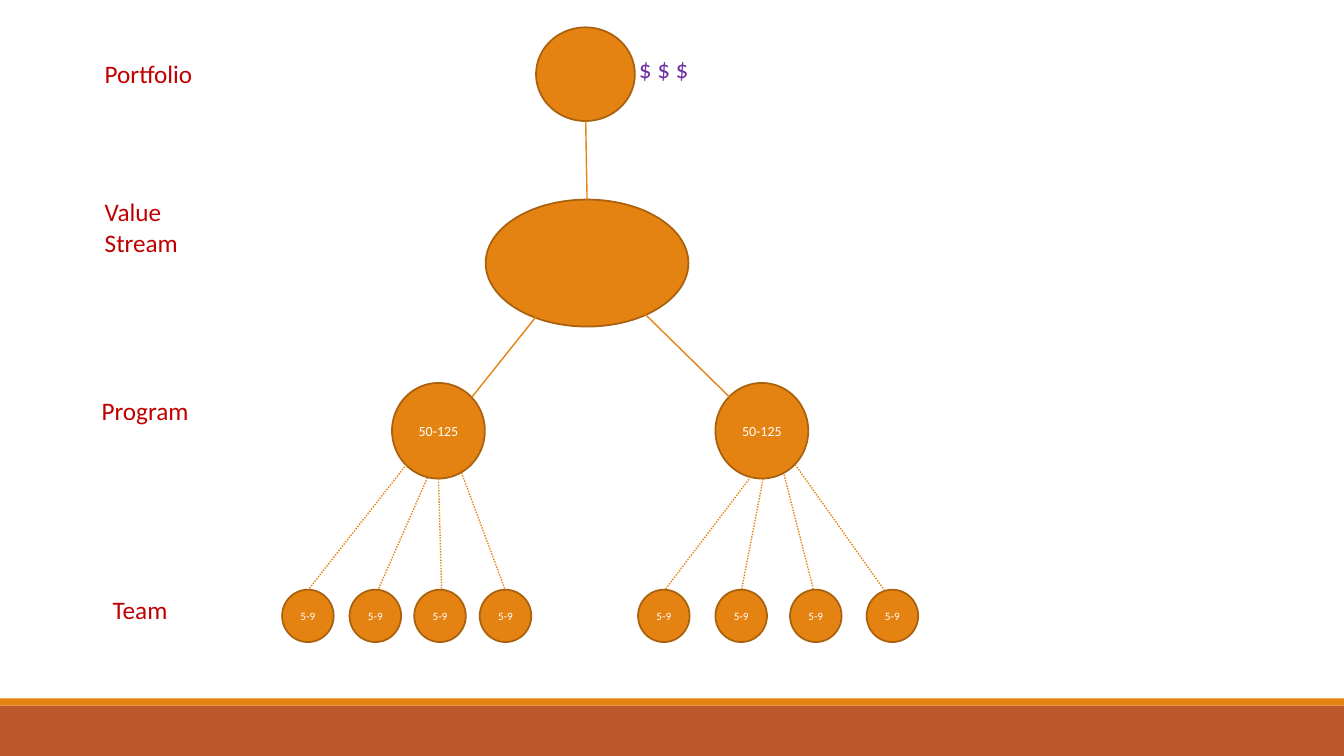
"""Build a slide with an organisation tree from portfolio down to teams."""
from dataclasses import dataclass

from lxml.etree import SubElement
from pptx import Presentation
from pptx.dml.color import RGBColor
from pptx.enum.dml import MSO_LINE
from pptx.enum.shapes import MSO_CONNECTOR, MSO_SHAPE
from pptx.enum.text import MSO_ANCHOR, MSO_AUTO_SIZE, PP_ALIGN
from pptx.oxml.ns import qn
from pptx.util import Cm, Pt


@dataclass(frozen=True)
class Theme:
    font: str = "Calibri"
    orange: str = "E48312"
    rust: str = "BD582C"
    outline: str = "A9610D"
    label: str = "C00000"
    money: str = "7030A0"
    white: str = "FFFFFF"
    label_size: int = 18
    program_size: int = 10
    team_size: int = 8


THEME = Theme()
PAGE_WIDTH, PAGE_HEIGHT = 33.87, 19.05
LABEL_HEIGHT = 1.02
PROGRAM_TOP, TEAM_TOP = 9.65, 14.86
LABELS = [
    ("Portfolio", 2.39, 1.35, 3.66, LABEL_HEIGHT),
    ("Value Stream", 2.39, 4.83, 2.9, 1.8),
    ("Program", 2.31, 9.83, 3.02, LABEL_HEIGHT),
    ("Team", 2.59, 14.86, 2.46, LABEL_HEIGHT),
]
# Each program: left edge, line from the value stream, then for each team
# its left edge, the start of its line and the x where that line ends.
PROGRAMS = [
    (9.88, (13.51, 7.98), (11.89, 10.01), [
        (7.11, (10.24, 11.71), 7.77),
        (8.81, (10.77, 12.04), 9.53),
        (10.44, (11.05, 12.07), 11.13),
        (12.09, (11.63, 11.91), 12.73),
    ]),
    (18.03, (16.26, 7.92), (18.39, 10.01), [
        (16.08, (19.0, 11.91), 16.76),
        (18.03, (19.23, 12.07), 18.69),
        (19.91, (19.76, 11.96), 20.5),
        (21.84, (20.04, 11.71), 22.28),
    ]),
]


def add_span(para, text, size, color):
    """Add one formatted run to a paragraph."""
    span = para.add_run()
    span.text = text
    span.font.name = THEME.font
    span.font.size = Pt(size)
    span.font.color.rgb = RGBColor.from_string(color)


def add_label(page, text, left, top, width, height, color):
    """Add a wrapped text label."""
    box = page.shapes.add_textbox(Cm(left), Cm(top), Cm(width), Cm(height))
    box.text_frame.word_wrap = True
    box.text_frame.auto_size = MSO_AUTO_SIZE.SHAPE_TO_FIT_TEXT
    add_span(box.text_frame.paragraphs[0], text, THEME.label_size, color)


def add_filled(page, kind, left, top, width, height, color):
    """Add a filled shape without outline or shadow."""
    shape = page.shapes.add_shape(kind, Cm(left), Cm(top), Cm(width), Cm(height))
    shape.shadow.inherit = False
    shape.fill.solid()
    shape.fill.fore_color.rgb = RGBColor.from_string(color)
    shape.line.fill.background()
    return shape


def add_node(page, left, top, width, height, text="", size=0):
    """Add an outlined ellipse with optional centred text."""
    node = add_filled(page, MSO_SHAPE.OVAL, left, top, width, height, THEME.orange)
    node.line.color.rgb = RGBColor.from_string(THEME.outline)
    node.line.width = Pt(1.25)
    if text:
        frame = node.text_frame
        frame.word_wrap = False
        frame.vertical_anchor = MSO_ANCHOR.MIDDLE
        para = frame.paragraphs[0]
        para.alignment = PP_ALIGN.CENTER
        add_span(para, text, size, THEME.white)
    return node


def add_link(page, start, end, dotted=False):
    """Add a straight line between two points."""
    link = page.shapes.add_connector(
        MSO_CONNECTOR.STRAIGHT, *(Cm(value) for value in (*start, *end)))
    link.line.color.rgb = RGBColor.from_string(THEME.orange)
    link.line.width = Pt(1)
    if dotted:
        link.line.dash_style = MSO_LINE.ROUND_DOT
    SubElement(link._element.spPr, qn("a:effectLst"))
    return link


def add_program(page, left, start, end, teams):
    """Add a program with its link to the value stream and its teams."""
    add_node(page, left, PROGRAM_TOP, 2.34, 2.41, "50-125", THEME.program_size)
    add_link(page, start, end)
    for team_left, link_start, link_end in teams:
        add_link(page, link_start, (link_end, TEAM_TOP), dotted=True)
        add_node(page, team_left, TEAM_TOP, 1.3, 1.32, "5-9", THEME.team_size)


def main():
    """Build and save the deck."""
    deck = Presentation()
    deck.slide_width, deck.slide_height = Cm(PAGE_WIDTH), Cm(PAGE_HEIGHT)
    page = deck.slides.add_slide(deck.slide_layouts[6])

    add_filled(page, MSO_SHAPE.RECTANGLE, 0, 17.78, PAGE_WIDTH, 1.27, THEME.rust)
    add_filled(page, MSO_SHAPE.RECTANGLE, 0, 17.6, PAGE_WIDTH, 0.18, THEME.orange)
    for label in LABELS:
        add_label(page, *label, THEME.label)

    add_node(page, 13.51, 0.69, 2.49, 2.36)
    value_stream = add_node(page, 12.24, 5.03, 5.11, 3.2)
    trunk = add_link(page, (14.76, 3.05), (14.8, 5.03))
    trunk.end_connect(value_stream, 0)
    for program in PROGRAMS:
        add_program(page, *program)
    add_label(page, "$ $ $", 15.85, 1.22, 4.04, LABEL_HEIGHT, THEME.money)

    deck.save("out.pptx")


if __name__ == "__main__":
    main()
